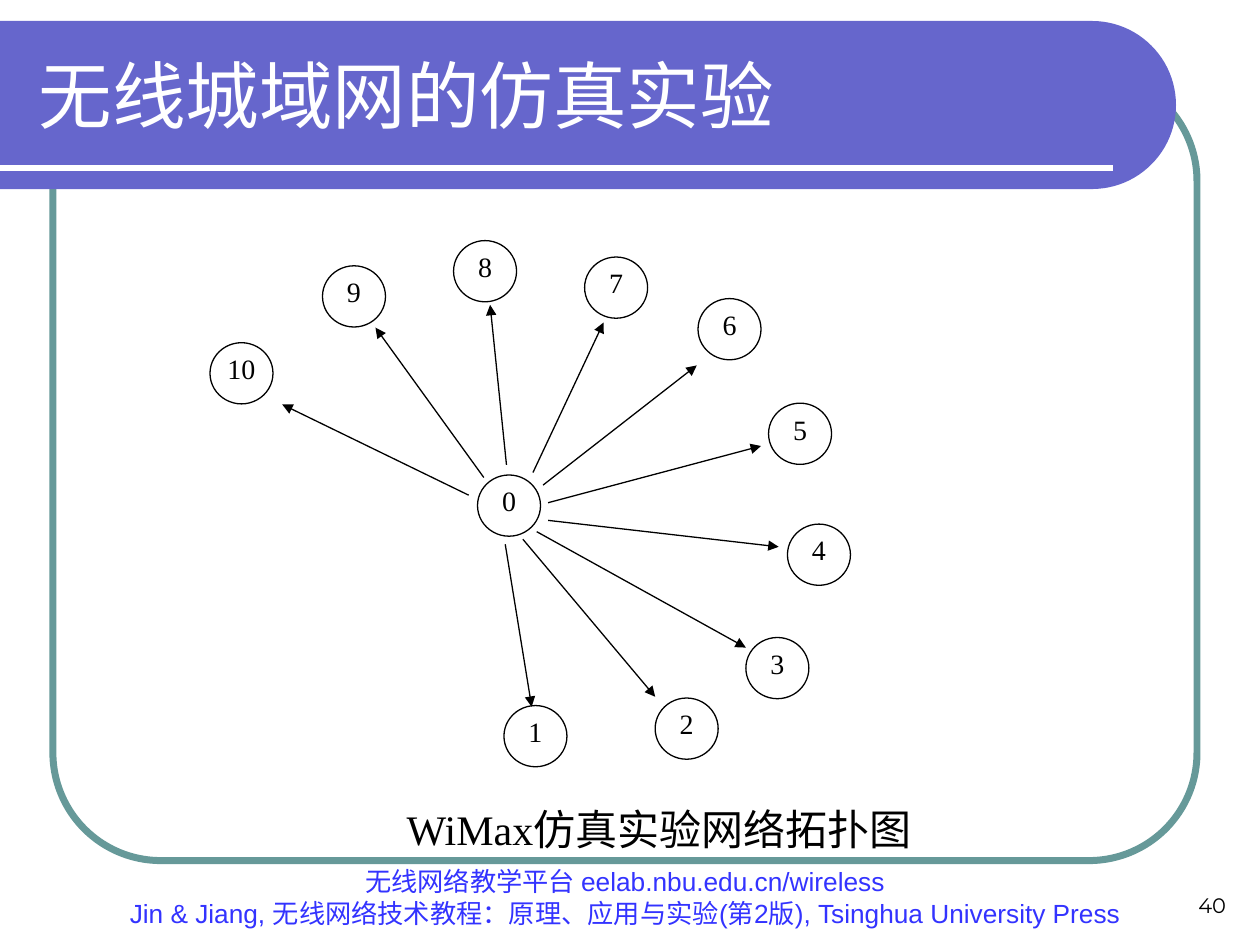
from dataclasses import dataclass
from math import cos, pi, sin

from lxml.etree import SubElement
from pptx import Presentation
from pptx.dml.color import RGBColor
from pptx.enum.shapes import MSO_CONNECTOR as Connector, MSO_SHAPE as Shape
from pptx.enum.text import MSO_ANCHOR as Anchor, PP_ALIGN as Align
from pptx.oxml.ns import qn
from pptx.util import Inches, Pt

BLACK = RGBColor(0x00, 0x00, 0x00)
WHITE = RGBColor(0xFF, 0xFF, 0xFF)
VIOLET = RGBColor(0x66, 0x66, 0xCC)
TEAL = RGBColor(0x66, 0x99, 0x99)
BLUE = RGBColor(0x33, 0x33, 0xFF)
SERIF = "Times New Roman"

# The slide is a grid of 100 columns by 75 square rows.
SLIDE_WIDTH, SLIDE_HEIGHT = Inches(10), Inches(7.5)
CELL = SLIDE_WIDTH / 100
NODE_WIDTH, NODE_HEIGHT = 5, 4.86


@dataclass(frozen=True)
class Station:
    """A node by its top left corner, and the arrow that leads to it."""
    label: str
    col: float
    row: float
    start: tuple[float, float]
    end: tuple[float, float]


STATIONS = [
    Station("10", 16.67, 27.2, (37.2, 39.3), (22.4, 32.1)),
    Station("9", 25.6, 21.1, (38.4, 37.9), (29.8, 26)),
    Station("8", 36, 19.1, (40.2, 36.9), (38.9, 24.2)),
    Station("7", 46.4, 20.4, (42.3, 37.5), (47.9, 25.6)),
    Station("6", 55.4, 23.7, (43.1, 38.5), (55.3, 29)),
    Station("5", 61, 32, (43.5, 39.9), (60.4, 35.4)),
    Station("4", 62.5, 41.6, (43.5, 41.3), (61.8, 43.4)),
    Station("3", 59.2, 50.6, (42.6, 42.2), (59.2, 51.4)),
    Station("2", 52, 55.4, (41.5, 42.8), (52, 55.3)),
    Station("1", 40, 56, (40.1, 43.2), (42.2, 56.1)),
]
HUB = ("0", 37.9, 37.7)


def cells(*counts: float) -> list[int]:
    return [round(count * CELL) for count in counts]


def write(frame, *lines: str, size: float, font: str, color: RGBColor,
          align=Align.LEFT, anchor=Anchor.TOP, wrap: bool = True) -> None:
    frame.word_wrap = wrap
    frame.vertical_anchor = anchor
    for index, line in enumerate(lines):
        paragraph = frame.add_paragraph() if index else frame.paragraphs[0]
        paragraph.alignment = align
        run = paragraph.add_run()
        run.text = line
        run.font.size = Pt(size)
        run.font.name = font
        run.font.color.rgb = color


def add_text(slide, box: tuple, *lines: str, **style) -> None:
    write(slide.shapes.add_textbox(*cells(*box)).text_frame, *lines, **style)


def add_line(slide, start: tuple, end: tuple, color: RGBColor,
             weight: float, arrow: bool = False) -> None:
    line = slide.shapes.add_connector(Connector.STRAIGHT, *cells(*start, *end))
    line.line.color.rgb = color
    line.line.width = Pt(weight)
    if arrow:
        SubElement(line.line._get_or_add_ln(), qn("a:tailEnd"), type="triangle")
    SubElement(line._element.spPr, qn("a:effectLst"))


def add_node(slide, label: str, col: float, row: float) -> None:
    node = slide.shapes.add_shape(
        Shape.OVAL, *cells(col, row, NODE_WIDTH, NODE_HEIGHT))
    node.shadow.inherit = False
    node.fill.solid()
    node.fill.fore_color.rgb = WHITE
    node.line.color.rgb = BLACK
    node.line.width = Pt(0.75)
    frame = node.text_frame
    frame.margin_left = frame.margin_right = 0
    frame.margin_top = frame.margin_bottom = 0
    write(frame, label, size=16, font=SERIF, color=BLACK, align=Align.CENTER)


def add_frame(slide) -> None:
    frame = slide.shapes.add_shape(
        Shape.ROUNDED_RECTANGLE, *cells(4.2, 5.8, 90.8, 62.5))
    frame.adjustments[0] = 0.137
    frame.shadow.inherit = False
    frame.fill.background()
    frame.line.color.rgb = TEAL
    frame.line.width = Pt(4)


def add_banner(slide) -> None:
    """Draw the title band, which ends in a half circle on the right."""
    top, radius, center, steps = 1.67, 6.67, 86.67, 48
    angles = [pi * step / steps - pi / 2 for step in range(steps + 1)]
    arc = [cells(center + radius * cos(angle), top + radius + radius * sin(angle))
           for angle in angles]
    outline = slide.shapes.build_freeform(*cells(0, top))
    outline.add_line_segments([*arc, cells(0, top + 2 * radius)], close=True)
    banner = outline.convert_to_shape()
    banner.shadow.inherit = False
    banner.fill.solid()
    banner.fill.fore_color.rgb = VIOLET
    banner.line.fill.background()


def main() -> None:
    deck = Presentation()
    deck.slide_width, deck.slide_height = SLIDE_WIDTH, SLIDE_HEIGHT
    slide = deck.slides.add_slide(deck.slide_layouts[6])

    add_frame(slide)
    add_banner(slide)
    add_line(slide, (0, 13.33), (88.33, 13.33), WHITE, 3)
    add_text(slide, (2.1, 2.5, 87.7, 10), "无线城域网的仿真实验",
             size=42, font="Arial", color=WHITE, anchor=Anchor.MIDDLE)

    for station in STATIONS:
        add_node(slide, station.label, station.col, station.row)
    add_node(slide, *HUB)
    for station in STATIONS:
        add_line(slide, station.start, station.end, BLACK, 0.75, arrow=True)

    add_text(slide, (31.3, 63.3, 43, 5), "WiMax仿真实验网络拓扑图",
             size=24, font=SERIF, color=BLACK, wrap=False)
    add_text(slide, (7.5, 70, 84.2, 4.2),
             "无线网络教学平台 eelab.nbu.edu.cn/wireless",
             "Jin & Jiang, 无线网络技术教程：原理、应用与实验(第2版), "
             "Tsinghua University Press",
             size=15, font="Arial", color=BLUE,
             align=Align.CENTER, anchor=Anchor.BOTTOM)
    add_text(slide, (75, 68.3, 23.3, 5), "40", size=12, font="Montserrat",
             color=BLACK, align=Align.RIGHT, anchor=Anchor.BOTTOM)

    deck.save("out.pptx")


if __name__ == "__main__":
    main()
